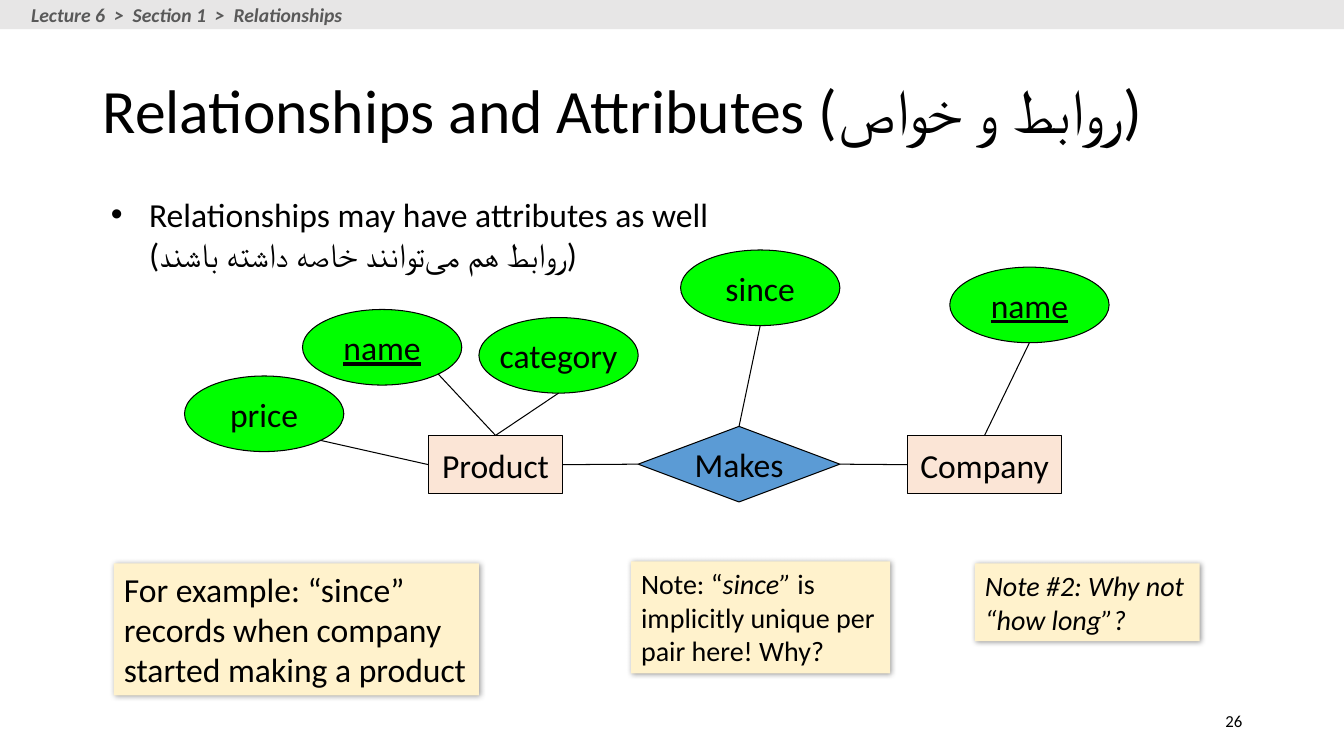
from lxml import etree
from pptx import Presentation
from pptx.dml.color import RGBColor
from pptx.enum.shapes import MSO_CONNECTOR, MSO_SHAPE
from pptx.enum.text import MSO_ANCHOR, PP_ALIGN
from pptx.oxml import parse_xml
from pptx.oxml.ns import qn
from pptx.util import Inches, Pt

RECTANGLE, OVAL, DIAMOND = MSO_SHAPE.RECTANGLE, MSO_SHAPE.OVAL, MSO_SHAPE.DIAMOND
LEFT, CENTER, RIGHT = PP_ALIGN.LEFT, PP_ALIGN.CENTER, PP_ALIGN.RIGHT
TOP, MIDDLE = MSO_ANCHOR.TOP, MSO_ANCHOR.MIDDLE
STRAIGHT = MSO_CONNECTOR.STRAIGHT
NON_JOINER = chr(0x200C)  # keeps two Persian letters unjoined
SHADOW = (
    '<a:effectLst xmlns:a="http://schemas.openxmlformats.org/drawingml/2006/main">'
    '<a:outerShdw blurRad="50800" dist="12700" dir="2700000" algn="tl" rotWithShape="0">'
    '<a:srgbClr val="000000"><a:alpha val="40000"/></a:srgbClr>'
    '</a:outerShdw></a:effectLst>'
)


def color(value):
    return RGBColor.from_string(value)


def write(box, text, size=24, ink="000000", bold=False, italic=False,
          underline=False, align=LEFT, anchor=TOP, wrap=True):
    """Fill a box with one paragraph; text is a string or (string, italic) pairs."""
    frame = box.text_frame
    frame.word_wrap = wrap
    frame.vertical_anchor = anchor
    para = frame.paragraphs[0]
    para.alignment = align
    pieces = [(text, italic)] if isinstance(text, str) else text
    for words, slanted in pieces:
        span = para.add_run()
        span.text = words
        span.font.name = "Calibri"
        span.font.size = Pt(size)
        span.font.bold = bold
        span.font.italic = slanted
        span.font.underline = underline
        span.font.color.rgb = color(ink)
    return para


deck = Presentation()
deck.slide_width, deck.slide_height = Inches(13.33), Inches(7.5)
page = deck.slides.add_slide(deck.slide_layouts[6])
shapes = page.shapes

# Header band with breadcrumb
band = shapes.add_shape(RECTANGLE, 0, 0, deck.slide_width, Inches(0.29))
band.shadow.inherit = False
band.fill.solid()
band.fill.fore_color.rgb = color("E7E6E6")
band.line.fill.background()
breadcrumb = shapes.add_textbox(Inches(0.21), Inches(-0.02), Inches(3.32), Inches(0.34))
write(breadcrumb, "Lecture 6  >  Section 1  >  Relationships", size=14,
      ink="595959", bold=True, italic=True, wrap=False)

# Title
title = shapes.add_textbox(Inches(0.92), Inches(0.4), Inches(11.5), Inches(1.45))
heading = write(title, "Relationships and Attributes (روابط و خواص)", size=44, anchor=MIDDLE)
heading.line_spacing = 0.9

# Bullet
statement = shapes.add_textbox(Inches(1), Inches(1.87), Inches(6.42), Inches(0.91))
bullet = write(statement, "Relationships may have attributes as well "
               f"(روابط هم می{NON_JOINER}توانند خاصه داشته باشند)")
properties = bullet._p.get_or_add_pPr()
properties.set("marL", str(Inches(0.38)))
properties.set("indent", str(Inches(-0.38)))
etree.SubElement(properties, qn("a:buFont")).set("typeface", "Arial")
etree.SubElement(properties, qn("a:buChar")).set("char", "•")

# Entities, attributes and the relationship: label, kind, fill, left, top, width, height
ENTITY, ATTRIBUTE = "FBE5D6", "00FF00"
nodes = {
    "product": ("Product", RECTANGLE, ENTITY, 4.25, 4.32, 1.33, 0.58),
    "company": ("Company", RECTANGLE, ENTITY, 9, 4.32, 1.53, 0.58),
    "makes": ("Makes", DIAMOND, "5B9BD5", 6.33, 4.23, 2, 0.75),
    "product name": ("name", OVAL, ATTRIBUTE, 3, 3.07, 1.58, 0.75),
    "category": ("category", OVAL, ATTRIBUTE, 4.75, 3.15, 1.58, 0.75),
    "price": ("price", OVAL, ATTRIBUTE, 1.83, 3.73, 1.58, 0.75),
    "company name": ("name", OVAL, ATTRIBUTE, 9.42, 2.65, 1.58, 0.75),
    "since": ("since", OVAL, ATTRIBUTE, 6.75, 2.48, 1.58, 0.75),
}
for label, kind, fill, *frame in nodes.values():
    node = shapes.add_shape(kind, *map(Inches, frame))
    node.shadow.inherit = False
    node.fill.solid()
    node.fill.fore_color.rgb = color(fill)
    node.line.color.rgb = color("000000")
    node.line.width = Pt(0.75)
    write(node, label, underline=label == "name", align=CENTER, anchor=MIDDLE, wrap=False)

# Links join points given as fractions of each node's width and height
top, bottom, left, right = (0.5, 0), (0.5, 1), (0, 0.5), (1, 0.5)
lower_right = (0.85, 0.85)
links = [
    ("price", lower_right, "product", left),
    ("product name", lower_right, "product", top),
    ("category", bottom, "product", top),
    ("company name", bottom, "company", top),
    ("since", bottom, "makes", top),
    ("product", right, "makes", left),
    ("makes", right, "company", left),
]
for start, start_side, end, end_side in links:
    ends = []
    for name, (across, down) in ((start, start_side), (end, end_side)):
        x, y, width, height = nodes[name][3:]
        ends += [Inches(x + across * width), Inches(y + down * height)]
    link = shapes.add_connector(STRAIGHT, *ends)
    link.line.color.rgb = color("000000")
    link.line.width = Pt(0.75)
    etree.SubElement(link._element.spPr, qn("a:effectLst"))

# Notes with a soft shadow
notes = [
    ("For example: “since” records when company started making a product",
     24, False, (1.13, 5.59, 3.62, 1.31)),
    ([("Note: “", False), ("since” ", True),
      ("is implicitly unique per pair here! Why?", False)],
     20, False, (6.26, 5.57, 2.57, 1.11)),
    ("Note #2: Why not “how long”?", 20, True, (9.67, 5.59, 2.23, 0.77)),
]
for text, size, italic, frame in notes:
    note = shapes.add_shape(RECTANGLE, *map(Inches, frame))
    note.fill.solid()
    note.fill.fore_color.rgb = color("FFF2CC")
    note.line.fill.background()
    note._element.spPr.append(parse_xml(SHADOW))
    write(note, text, size=size, italic=italic)

# Page number
number = shapes.add_textbox(Inches(9.42), Inches(6.95), Inches(3), Inches(0.4))
write(number, "26", size=12, align=RIGHT, anchor=MIDDLE)

deck.save("out.pptx")
